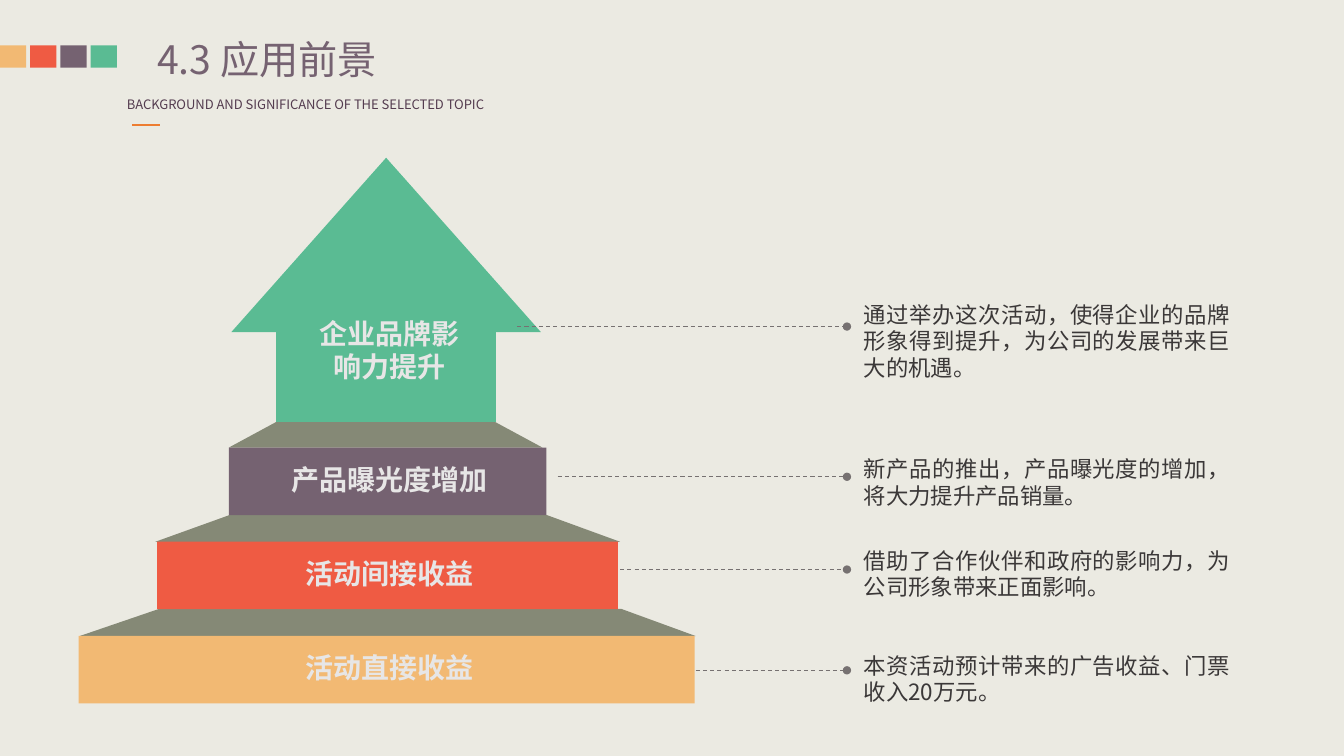
import pptx
import pptx.util
import pptx.dml.color
import pptx.enum.dml
import pptx.enum.shapes
import pptx.enum.text
import pptx.oxml
import pptx.oxml.ns

FONT = "Noto Sans CJK SC"
GREEN, PLUM, RED, SAND = "5ABB93", "756271", "EF5B43", "F2B973"
KIND = pptx.enum.shapes.MSO_SHAPE
ALIGN = pptx.enum.text.PP_ALIGN
ANCHOR = pptx.enum.text.MSO_ANCHOR
COLS, ROWS = 133.3, 75


def unit(num):
    return pptx.util.Inches(num / 10)


def hue(code):
    return pptx.dml.color.RGBColor.from_string(code)


def node(root, tag, **attrs):
    item = pptx.oxml.parse_xml(f'<a:{tag} {pptx.oxml.ns.nsdecls("a")}/>')
    for key, val in attrs.items():
        item.set(key, val)
    root.append(item)


def paint(shape, code):
    shape.shadow.inherit = False
    shape.fill.solid()
    shape.fill.fore_color.rgb = hue(code)
    shape.line.fill.background()


def block(slide, kind, x, y, w, h, code):
    shape = slide.shapes.add_shape(kind, unit(x), unit(y), unit(w), unit(h))
    paint(shape, code)
    return shape


def rule(slide, x, y, end, code, width):
    line = slide.shapes.add_connector(
        pptx.enum.shapes.MSO_CONNECTOR.STRAIGHT, unit(x), unit(y), unit(end), unit(y))
    line.line.color.rgb = hue(code)
    line.line.width = pptx.util.Pt(width)
    node(line._element.spPr, "effectLst")
    return line


def write(slide, x, y, w, h, words, size, code, align=ALIGN.LEFT,
          anchor=ANCHOR.MIDDLE, bold=False, wrap=True, inset=True, pitch=None):
    box = slide.shapes.add_textbox(unit(x), unit(y), unit(w), unit(h))
    frame = box.text_frame
    frame.word_wrap = wrap
    frame.vertical_anchor = anchor
    if not inset:
        frame.margin_left = frame.margin_right = 0
        frame.margin_top = frame.margin_bottom = 0
    para = frame.paragraphs[0]
    para.alignment = align
    if pitch:
        para.line_spacing = pptx.util.Pt(pitch)
    run = para.add_run()
    run.text = words
    run.font.size = pptx.util.Pt(size)
    run.font.bold = bold
    run.font.color.rgb = hue(code)
    run.font.name = FONT
    node(run._r.get_or_add_rPr(), "ea", typeface=FONT)


def header(slide, box):
    x, y, w, h = box
    for pos, code in enumerate((SAND, RED, PLUM, GREEN)):
        block(slide, KIND.RECTANGLE, x + pos * 3, y + 1, 2.6, 2.2, code)
    write(slide, x + 15.6, y, w - 15.6, 4.7, "4.3 应用前景", 28, PLUM, inset=False)
    write(slide, x + 11.6, y + 5.6, 40.7, 2.6,
          "BACKGROUND AND SIGNIFICANCE OF THE SELECTED TOPIC", 9.3, "543C4F", wrap=False)
    rule(slide, x + 13.1, y + h, x + 15.9, "ED7D31", 1.5)


def label(slide, mid, y, w, h, words):
    write(slide, mid - w / 2, y, w, h, words, 20, "E7E6E6", ALIGN.CENTER,
          bold=True, pitch=23.6)


def stairs(slide, box):
    x, y, w, h = box
    mid = x + w / 2 + 0.3
    tiers = [
        (14.9, 31.5, (19.9, 41, 46, 14.9), PLUM, "产品曝光度增加"),
        (7.8, 45.7, (15.1, 46.3, 53.7, 7.6), RED, "活动间接收益"),
        (0, 61.1, (8, 53.8, 61.2, 0.1), SAND, "活动直接收益"),
    ]
    tall, step, roof = 6.7, 9.35, 2.7
    tops = [y + h - tall - step * back for back in (2, 1, 0)]
    for top, (_, _, ends, _, _) in reversed(list(zip(tops, tiers))):
        rows = (top - roof, top - roof, top, top)
        spots = [(unit(x + end), unit(row)) for end, row in zip(ends, rows)]
        path = slide.shapes.build_freeform(*spots[0], scale=1.0)
        path.add_line_segments(spots[1:], close=True)
        paint(path.convert_to_shape(), "858976")
    arrow = block(slide, KIND.RIGHT_ARROW, x + 17.4, y - 2.2, 26.2, 30.7, GREEN)
    arrow.rotation = 270
    arrow.adjustments[0], arrow.adjustments[1] = 0.71, 0.66
    label(slide, mid, y + 15.1, 17, 8, "企业品牌影响力提升")
    for top, (left, wide, _, code, words) in zip(tops, tiers):
        block(slide, KIND.RECTANGLE, x + left, top, wide, tall, code)
        label(slide, mid, top - 0.2, 28, tall, words)


def notes(slide, box):
    x, y, w, h = box
    items = [
        (0, 3.2, 0, "通过举办这次活动，使得企业的品牌形象得到提升，为公司的发展带来巨大的机遇。"),
        (4, 18.1, 15.3, "新产品的推出，产品曝光度的增加，将大力提升产品销量。"),
        (10.2, 27.3, 24.4, "借助了合作伙伴和政府的影响力，为公司形象带来正面影响。"),
        (17.7, 37.3, 34.8, "本资活动预计带来的广告收益、门票收入20万元。"),
    ]
    wide = 38.3
    for start, row, top, words in items:
        line = rule(slide, x + start, y + row, x + 32.7, "767171", 0.75)
        line.line.dash_style = pptx.enum.dml.MSO_LINE.DASH
        node(line.line._get_or_add_ln(), "tailEnd", type="oval")
        write(slide, x + w - wide, y + top + 0.2, wide, 6.4, words, 16, "3B3838",
              ALIGN.JUSTIFY, ANCHOR.TOP, pitch=19)


deck = pptx.Presentation()
deck.slide_width, deck.slide_height = unit(COLS), unit(ROWS)
page = deck.slides.add_slide(deck.slide_layouts[6])
page.background.fill.solid()
page.background.fill.fore_color.rgb = hue("EBEAE2")
header(page, (0, 3.5, 55.5, 8.9))
stairs(page, (7.8, 15.6, 61.1, 54.2))
notes(page, (51.3, 29.2, 71.7, 41.2))
deck.save("out.pptx")
